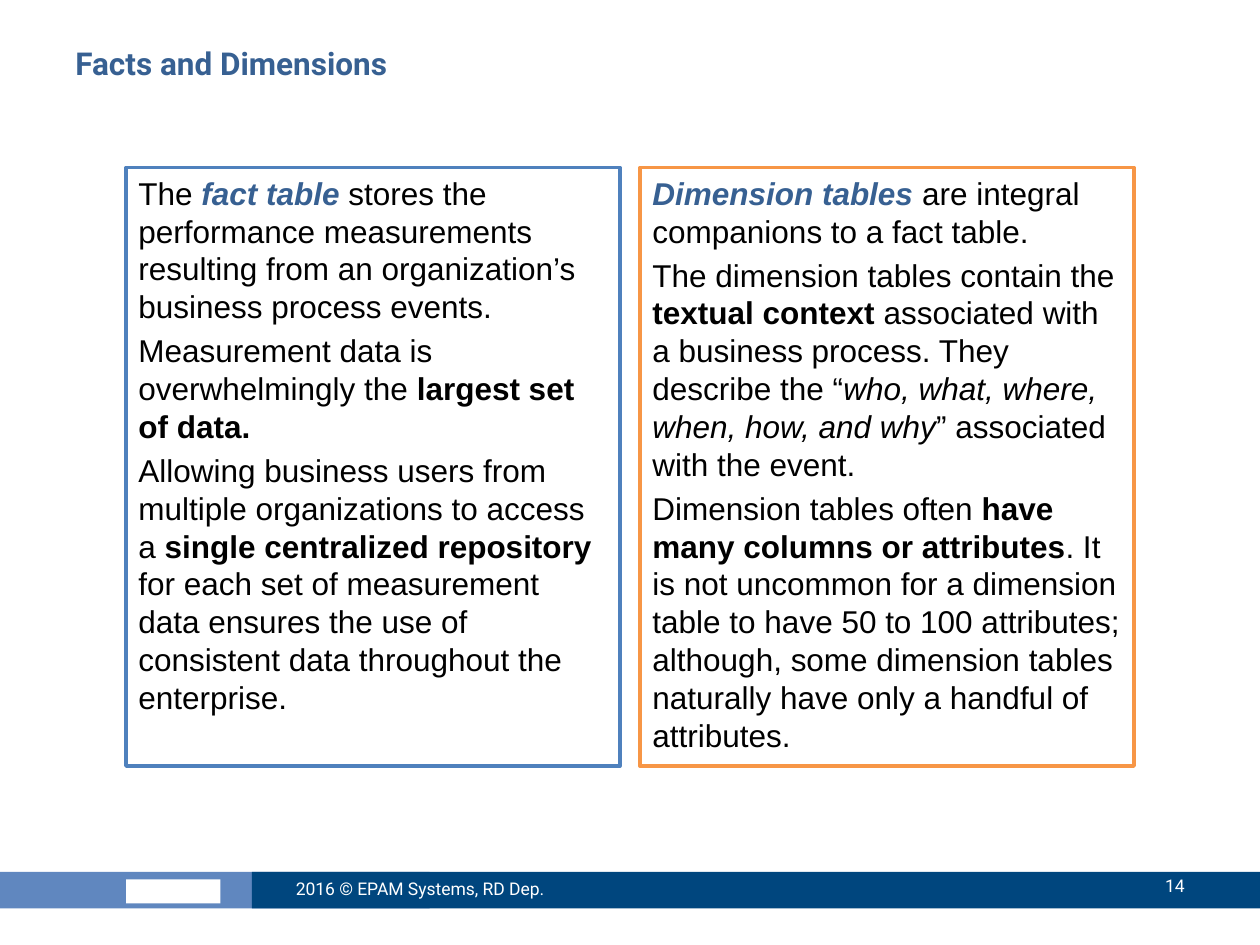
"""Build the Facts and Dimensions slide with two framed text panels and a footer bar."""
from dataclasses import dataclass

from pptx import Presentation
from pptx import util as u
from pptx.dml.color import RGBColor
from pptx.enum import shapes, text

WHITE = RGBColor(0xFF, 0xFF, 0xFF)
BLACK = RGBColor(0x00, 0x00, 0x00)
HEADING = RGBColor(0x37, 0x60, 0x92)
BLUE = RGBColor(0x4F, 0x81, 0xBD)
ORANGE = RGBColor(0xF7, 0x96, 0x46)
LIGHT_BAR = RGBColor(0x60, 0x87, 0xBF)
DARK_BAR = RGBColor(0x00, 0x46, 0x7E)

PLAIN = {"size": u.Pt(18), "name": "Arial", "bold": False, "italic": False}
BOLD = PLAIN | {"bold": True}
ITALIC = PLAIN | {"italic": True}
TERM = PLAIN | {"bold": True, "italic": True, "color": HEADING}
TITLE = PLAIN | {"name": "Roboto", "bold": True, "color": HEADING}
FOOTER = {"size": u.Pt(10), "name": "Roboto", "color": WHITE}

Paragraphs = list[list[tuple[str, dict]]]


@dataclass
class Box:
    left: float
    top: float
    width: float
    height: float

    def lengths(self) -> list[u.Length]:
        return [u.Inches(v) for v in (self.left, self.top, self.width, self.height)]


@dataclass
class Panel:
    border: RGBColor
    paragraphs: Paragraphs


@dataclass
class Label:
    box: Box
    words: str
    style: dict
    anchor: text.MSO_ANCHOR = text.MSO_ANCHOR.MIDDLE
    align: text.PP_ALIGN = text.PP_ALIGN.LEFT


BARS = [
    (Box(-0.02, 6.92, 3.43, 0.29), LIGHT_BAR),
    (Box(1, 6.98, 0.75, 0.19), WHITE),
    (Box(2, 6.92, 8, 0.29), DARK_BAR),
]

LABELS = [
    Label(Box(2.25, 6.85, 2.67, 0.4), "2016 © EPAM Systems, RD Dep.", FOOTER),
    Label(Box(8.42, 6.83, 1.08, 0.4), "14", FOOTER, align=text.PP_ALIGN.RIGHT),
    Label(Box(0.5, 0.3, 9, 0.78), "Facts and Dimensions", TITLE, text.MSO_ANCHOR.TOP),
]

PANELS = [
    Panel(BLUE, [
        [("The ", PLAIN), ("fact table", TERM),
         (" stores the performance measurements resulting from an "
          "organization’s business process events.", PLAIN)],
        [("Measurement data is overwhelmingly the ", PLAIN),
         ("largest set of data.", BOLD)],
        [("Allowing business users from multiple organizations to access a ", PLAIN),
         ("single centralized repository", BOLD),
         (" for each set of measurement data ensures the use of consistent "
          "data throughout the enterprise.", PLAIN)],
    ]),
    Panel(ORANGE, [
        [("Dimension tables", TERM),
         (" are integral companions to a fact table.", PLAIN)],
        [("The dimension tables contain the ", PLAIN), ("textual context ", BOLD),
         ("associated with a business process. They describe the “", PLAIN),
         ("who, what, where, when, how, and why", ITALIC),
         ("” associated with the event.", PLAIN)],
        [("Dimension tables often ", PLAIN),
         ("have many columns or attributes", BOLD),
         (". It is not uncommon for a dimension table to have 50 to 100 attributes; "
          "although, some dimension tables naturally have only a handful of "
          "attributes.", PLAIN)],
    ]),
]


def write(frame, paragraphs: Paragraphs, anchor, align) -> None:
    frame.word_wrap = True
    frame.vertical_anchor = anchor
    for index, runs in enumerate(paragraphs):
        paragraph = frame.add_paragraph() if index else frame.paragraphs[0]
        paragraph.alignment = align
        paragraph.space_before = u.Pt(3.6 if index else 0)
        for words, style in runs:
            run = paragraph.add_run()
            run.text = words
            run.font.color.rgb = style.get("color", BLACK)
            for attribute, value in style.items():
                if attribute != "color":
                    setattr(run.font, attribute, value)


def add_rectangle(slide, box: Box, fill: RGBColor):
    shape = slide.shapes.add_shape(shapes.MSO_SHAPE.RECTANGLE, *box.lengths())
    shape.shadow.inherit = False
    shape.fill.solid()
    shape.fill.fore_color.rgb = fill
    shape.line.fill.background()
    return shape


def add_label(slide, label: Label) -> None:
    frame = slide.shapes.add_textbox(*label.box.lengths()).text_frame
    write(frame, [[(label.words, label.style)]], label.anchor, label.align)


def add_panel(slide, box: Box, panel: Panel) -> None:
    shape = add_rectangle(slide, box, WHITE)
    shape.line.color.rgb = panel.border
    shape.line.width = u.Pt(2)
    write(shape.text_frame, panel.paragraphs, text.MSO_ANCHOR.TOP, text.PP_ALIGN.LEFT)


def main() -> None:
    presentation = Presentation()
    presentation.slide_width = u.Inches(10)
    presentation.slide_height = u.Inches(7.5)
    slide = presentation.slides.add_slide(presentation.slide_layouts[6])
    for box, fill in BARS:
        add_rectangle(slide, box, fill)
    for label in LABELS:
        add_label(slide, label)
    for column, panel in enumerate(PANELS):
        add_panel(slide, Box(1 + 4.08 * column, 1.33, 3.92, 4.75), panel)
    presentation.save("out.pptx")


if __name__ == "__main__":
    main()
